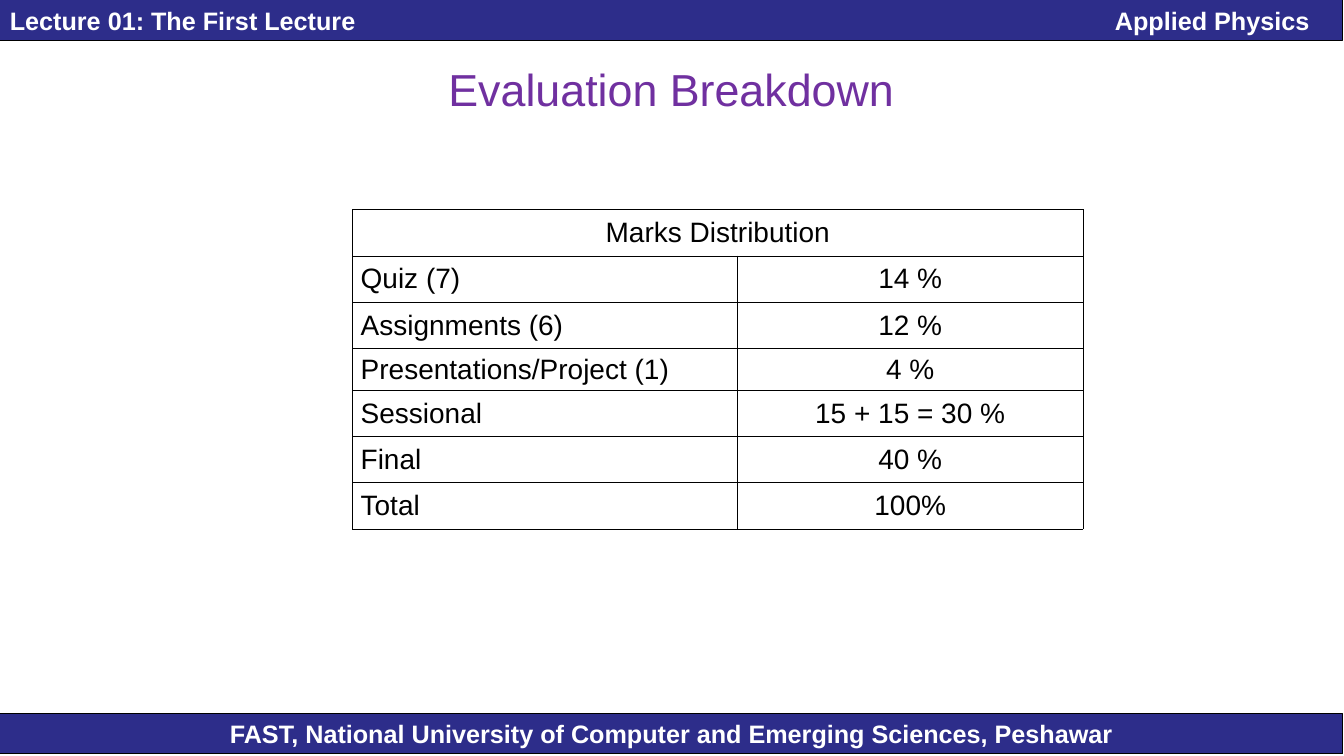
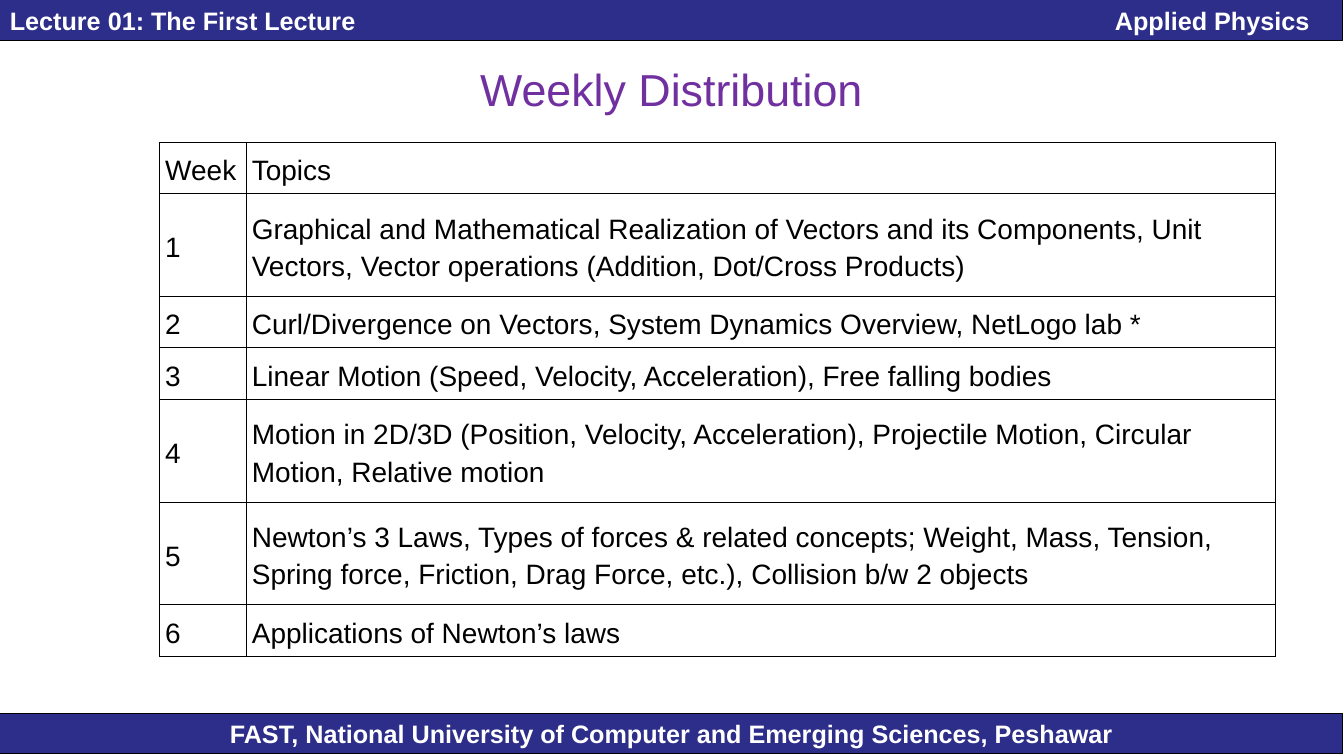
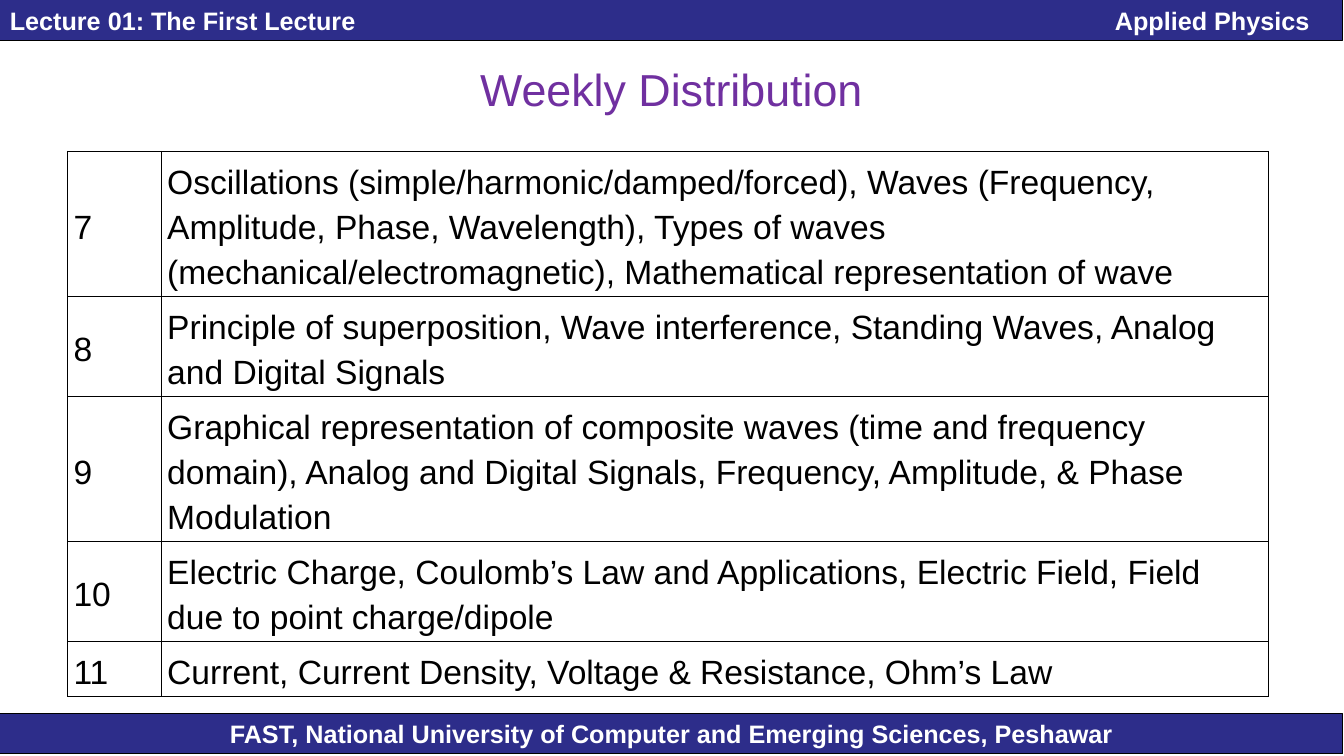
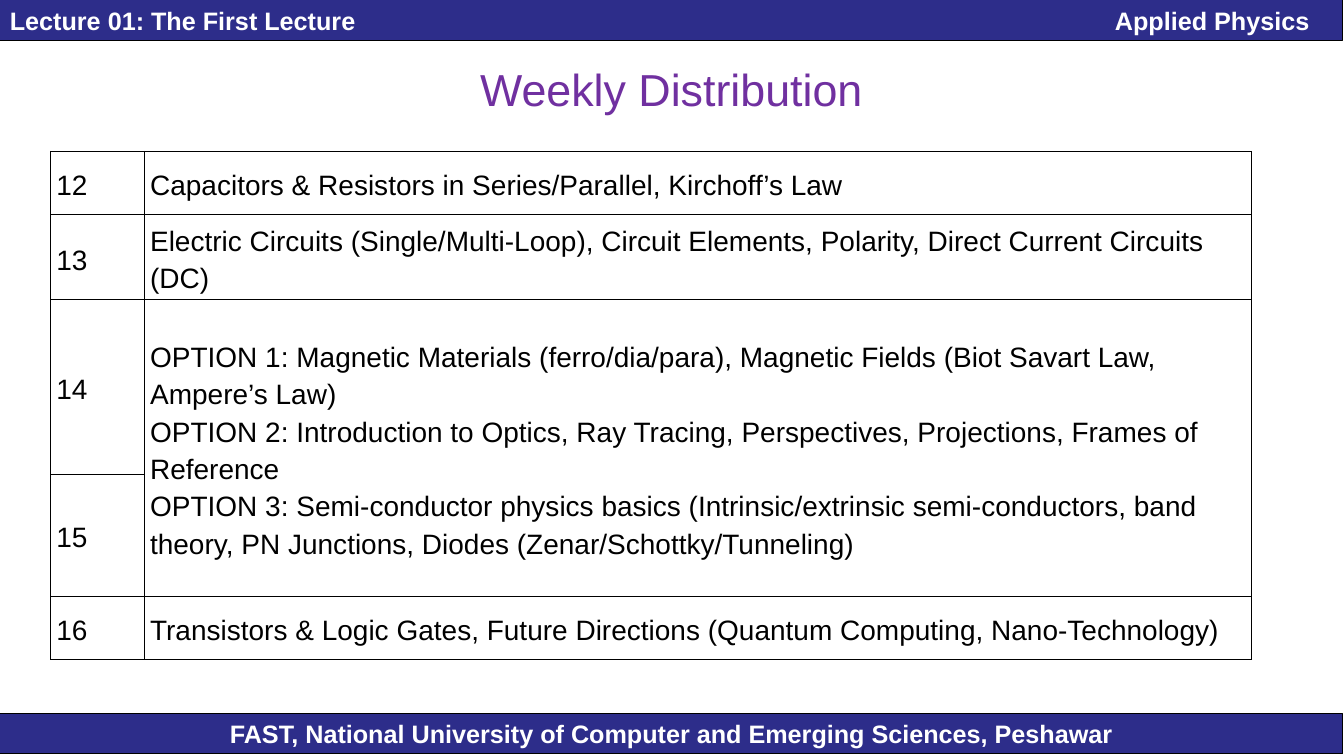
from lxml.etree import SubElement
from pptx import Presentation
from pptx.dml.color import RGBColor
from pptx.enum.shapes import MSO_SHAPE
from pptx.enum.text import MSO_ANCHOR, MSO_AUTO_SIZE, PP_ALIGN
from pptx.oxml.ns import qn
from pptx.util import Inches, Pt

WIDTH = 13.33


def paint(target, color):
    """Give a fill, or a line's fill, one solid colour."""
    target.solid()
    target.fore_color.rgb = RGBColor.from_string(color)


class Deck:
    font = "Arial"
    navy, purple, black, white = "2D2D8A", "7030A0", "000000", "FFFFFF"

    def __init__(self):
        self.prs = Presentation()
        self.prs.slide_width = Inches(13.34)
        self.prs.slide_height = Inches(7.5)
        self.layout = self.prs.slide_layouts[5]
        for holder in list(self.layout.placeholders):
            if holder.placeholder_format.idx:
                holder.element.getparent().remove(holder.element)
        self.slide = None

    def add_text(self, para, text, size, color, bold=False):
        """Add runs to a paragraph, with a line break at each newline."""
        for i, line in enumerate(text.split("\n")):
            if i:
                para.add_line_break()
            run = para.add_run()
            run.text = line
            run.font.name = self.font
            run.font.size = Pt(size)
            run.font.bold = bold
            paint(run.font.fill, color)

    def band(self, top, text, align, tab=None):
        """Put a band on the layout, so that every slide shows it."""
        shape = self.slide.shapes.add_shape(
            MSO_SHAPE.RECTANGLE, 0, Inches(top), Inches(WIDTH), Inches(0.4))
        shape.shadow.inherit = False
        paint(shape.fill, self.navy)
        paint(shape.line.fill, self.black)
        shape.line.width = Pt(0.75)
        frame = shape.text_frame
        frame.word_wrap = True
        frame.vertical_anchor = MSO_ANCHOR.MIDDLE
        para = frame.paragraphs[0]
        para.alignment = align
        if tab:
            stops = SubElement(para._p.get_or_add_pPr(), qn("a:tabLst"))
            SubElement(stops, qn("a:tab"), pos=str(Inches(tab)), algn="r")
        self.add_text(para, text, 18, self.white, True)
        self.layout.shapes.element.append(shape.element)

    def page(self, title):
        """Start a slide; the first one also sets up the shared bands."""
        first = self.slide is None
        self.slide = self.prs.slides.add_slide(self.layout)
        if first:
            self.band(7.08, "FAST, National University of Computer and "
                      "Emerging Sciences, Peshawar", PP_ALIGN.CENTER)
            self.band(0, "Lecture 01: The First Lecture\tApplied Physics",
                      PP_ALIGN.LEFT, 12.9)
        head = self.slide.shapes.title
        head.left, head.top = 0, Inches(0.42)
        head.width, head.height = Inches(WIDTH), Inches(0.92)
        frame = head.text_frame
        frame.auto_size = MSO_AUTO_SIZE.NONE
        frame.vertical_anchor = MSO_ANCHOR.MIDDLE
        para = frame.paragraphs[0]
        para.alignment = PP_ALIGN.CENTER
        self.add_text(para, title, 32, self.purple)

    def border(self, cell):
        props = cell._tc.get_or_add_tcPr()
        for side in ("a:lnL", "a:lnR", "a:lnT", "a:lnB"):
            line = SubElement(props, qn(side), w=str(Pt(0.45)))
            fill = SubElement(line, qn("a:solidFill"))
            SubElement(fill, qn("a:srgbClr"), val=self.black)

    def grid(self, left, top, cols, heights, rows, size=20, pad=0.06,
             loose=True, center=(), spans=()):
        """Add a table.

        None marks a cell that a span covers, center lists the centred
        columns, and spans holds pairs of first and last cell.
        """
        table = self.slide.shapes.add_table(
            len(rows), len(cols), Inches(left), Inches(top),
            Inches(sum(cols)), Inches(sum(heights))).table
        table.first_row = table.horz_banding = False
        for col, width in zip(table.columns, cols):
            col.width = Inches(width)
        for row, height in zip(table.rows, heights):
            row.height = Inches(height)
        for r, texts in enumerate(rows):
            for c, text in enumerate(texts):
                cell = table.cell(r, c)
                self.border(cell)
                cell.fill.background()
                cell.vertical_anchor = MSO_ANCHOR.MIDDLE
                cell.margin_left = cell.margin_right = Inches(pad)
                if text is None:
                    continue
                para = cell.text_frame.paragraphs[0]
                if loose:
                    para.line_spacing = 1.2
                    para.space_after = Pt(7)
                if c in center:
                    para.alignment = PP_ALIGN.CENTER
                self.add_text(para, text, size, self.black)
        for start, end in spans:
            table.cell(*start).merge(table.cell(*end))
        return table


def main():
    deck = Deck()

    deck.page("Evaluation Breakdown")
    marks = deck.grid(3.5, 2.08, (3.82, 3.43), [0.46] * 3 + [0.34] + [0.46] * 3, [
        ("Marks Distribution", None),
        ("Quiz (7)", "14 %"),
        ("Assignments (6)", "12 %"),
        ("Presentations/Project (1)", "4 %"),
        ("Sessional", "15 + 15 = 30 %"),
        ("Final", "40 %"),
        ("Total", "100%"),
    ], pad=0.08, loose=False, center=(1,), spans=[((0, 0), (0, 1))])
    marks.cell(0, 0).text_frame.paragraphs[0].alignment = PP_ALIGN.CENTER

    deck.page("Weekly Distribution")
    one, two = 0.51, 1.02
    deck.grid(1.58, 1.41, (0.86, 10.22), (one, two, one, one, two, two, one), [
        ("Week", "Topics"),
        ("1", "Graphical and Mathematical Realization of Vectors and its "
              "Components, Unit Vectors, Vector operations (Addition, "
              "Dot/Cross Products)"),
        ("2", "Curl/Divergence on Vectors, System Dynamics Overview, "
              "NetLogo lab *"),
        ("3", "Linear Motion (Speed, Velocity, Acceleration), Free falling "
              "bodies"),
        ("4", "Motion in 2D/3D (Position, Velocity, Acceleration), "
              "Projectile Motion, Circular Motion, Relative motion"),
        ("5", "Newton’s 3 Laws, Types of forces & related concepts; Weight, "
              "Mass, Tension, Spring force, Friction, Drag Force, etc.), "
              "Collision b/w 2 objects"),
        ("6", "Applications of Newton’s laws"),
    ])

    wide = (0.93, 10.99)
    deck.page("Weekly Distribution")
    deck.grid(0.67, 1.5, wide, (1.44, 0.96, 1.44, 0.96, 0.48), [
        ("7", "Oscillations (simple/harmonic/damped/forced), Waves "
              "(Frequency, Amplitude, Phase, Wavelength), Types of waves "
              "(mechanical/electromagnetic), Mathematical representation "
              "of wave"),
        ("8", "Principle of superposition, Wave interference, Standing "
              "Waves, Analog and Digital Signals"),
        ("9", "Graphical representation of composite waves (time and "
              "frequency domain), Analog and Digital Signals, Frequency, "
              "Amplitude, & Phase Modulation"),
        ("10", "Electric Charge, Coulomb’s Law and Applications, Electric "
               "Field, Field due to point charge/dipole"),
        ("11", "Current, Current Density, Voltage & Resistance, Ohm’s Law"),
    ], size=24)

    deck.page("Weekly Distribution")
    deck.grid(0.5, 1.5, wide, (0.63, 0.8, 1.73, 1.21, 0.63), [
        ("12", "Capacitors & Resistors in Series/Parallel, Kirchoff’s Law"),
        ("13", "Electric Circuits (Single/Multi-Loop), Circuit Elements, "
               "Polarity, Direct Current Circuits (DC)"),
        ("14", "OPTION 1: Magnetic Materials (ferro/dia/para), Magnetic "
               "Fields (Biot Savart Law, Ampere’s Law)\n"
               "OPTION 2: Introduction to Optics, Ray Tracing, "
               "Perspectives, Projections, Frames of Reference\n"
               "OPTION 3: Semi-conductor physics basics "
               "(Intrinsic/extrinsic semi-conductors, band theory, PN "
               "Junctions, Diodes (Zenar/Schottky/Tunneling)"),
        ("15", None),
        ("16", "Transistors & Logic Gates, Future Directions (Quantum "
               "Computing, Nano-Technology)"),
    ], spans=[((2, 1), (3, 1))])

    deck.prs.save("out.pptx")


if __name__ == "__main__":
    main()
